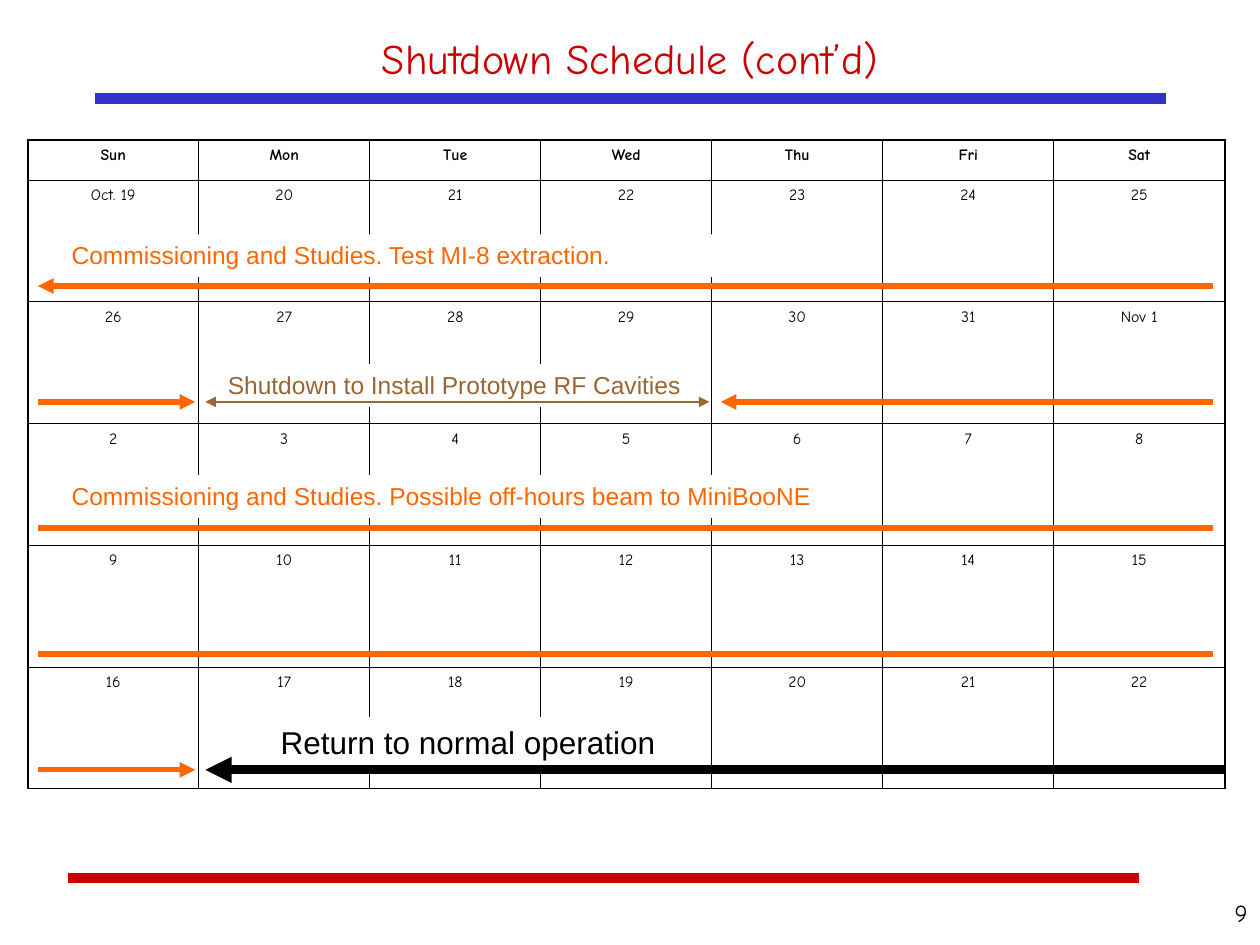
from itertools import product
from lxml import etree
from pptx import Presentation
from pptx.dml.color import RGBColor
from pptx.enum.shapes import MSO_CONNECTOR
from pptx.enum.text import MSO_ANCHOR, MSO_AUTO_SIZE, PP_ALIGN
from pptx.oxml.ns import qn
from pptx.util import Inches, Pt

BLACK, WHITE, RED, BLUE = "000000", "FFFFFF", "CC0000", "3333CC"
ORANGE, BROWN = "FF6600", "996633"
HEADING_FONT, LABEL_FONT = "Comic Neue", "Arial"

DAYS = ["Sun", "Mon", "Tue", "Wed", "Thu", "Fri", "Sat"]
DATES = ["Oct. 19", *map(str, range(20, 32)), "Nov 1", *map(str, range(2, 23))]
HEADER_HEIGHT = 0.32

# Offsets inside the calendar: text, left, top, width, height, size, colour, wrap
LABELS = [
    ("Shutdown to Install Prototype RF Cavities", 1.49, 1.78, 3.8, 0.34, 14, BROWN, False),
    ("Commissioning and Studies. Test MI-8 extraction.", 0.25, 0.75, 6.25, 0.34, 14, ORANGE, True),
    ("Commissioning and Studies. Possible off-hours beam to MiniBooNE",
     0.25, 2.66, 6.25, 0.34, 14, ORANGE, True),
    ("Return to normal operation", 1.91, 4.58, 3.33, 0.4, 18, BLACK, True),
]
# Offsets inside the calendar: start, end, height, colour, weight, arrowheads
SPANS = [
    (1.41, 5.41, 2.08, BROWN, 0.75, ("head", "tail")),
    (0.08, 9.41, 1.16, ORANGE, 3, ("head",)),
    (0.08, 9.41, 3.08, ORANGE, 3, ()),
    (0.08, 1.33, 2.08, ORANGE, 3, ("tail",)),
    (5.5, 9.41, 2.08, ORANGE, 3, ("head",)),
    (0.08, 9.41, 4.08, ORANGE, 3, ()),
    (0.08, 1.33, 5.0, ORANGE, 3, ("tail",)),
    (1.41, 9.5, 5.0, BLACK, 5, ("head",)),
]


def color(value):
    return RGBColor.from_string(value)


def format_text(text_frame, text, size, font_name, font_color,
                align=PP_ALIGN.LEFT, bold=False):
    text_frame.text = text
    paragraph = text_frame.paragraphs[0]
    paragraph.alignment = align
    font = paragraph.runs[0].font
    font.size, font.name, font.bold = Pt(size), font_name, bold
    font.color.rgb = color(font_color)


def add_line(slide, start, end, y, line_color, weight, arrowheads=()):
    line = slide.shapes.add_connector(
        MSO_CONNECTOR.STRAIGHT, Inches(start), Inches(y), Inches(end), Inches(y))
    line.line.color.rgb = color(line_color)
    line.line.width = Pt(weight)
    outline = line.line._get_or_add_ln()
    for side in arrowheads:
        etree.SubElement(outline, qn(f"a:{side}End"), type="triangle")
    etree.SubElement(line._element.spPr, qn("a:effectLst"))


def set_borders(cell, weights):
    properties = cell._tc.get_or_add_tcPr()
    for position, (side, weight) in enumerate(weights.items()):
        border = etree.Element(qn(f"a:ln{side}"), w=str(Pt(weight)))
        fill = etree.SubElement(border, qn("a:solidFill"))
        etree.SubElement(fill, qn("a:srgbClr"), val=BLACK)
        properties.insert(position, border)


def add_title(slide, left, top, width, height):
    title = slide.shapes.title
    title.left, title.top = Inches(left), Inches(top)
    title.width, title.height = Inches(width), Inches(height)
    title.text_frame.vertical_anchor = MSO_ANCHOR.MIDDLE
    format_text(title.text_frame, "Shutdown Schedule (cont’d)", 24,
                HEADING_FONT, RED, PP_ALIGN.CENTER)
    add_line(slide, left, left + width, 0.78, BLUE, 6)


def add_calendar(slide, left, top, width, height):
    entries = DAYS + DATES
    columns = len(DAYS)
    rows = len(entries) // columns
    frame = slide.shapes.add_table(
        rows, columns, Inches(left), Inches(top), Inches(width), Inches(height))
    table = frame.table
    table.first_row = table.horz_banding = False
    for column in table.columns:
        column.width = Inches(width / columns)
    for index, row in enumerate(table.rows):
        week_height = (height - HEADER_HEIGHT) / (rows - 1)
        row.height = Inches(week_height if index else HEADER_HEIGHT)

    # Thin grid inside, heavier outer frame
    for text, (row, column) in zip(entries, product(range(rows), range(columns))):
        cell = table.cell(row, column)
        cell.fill.background()
        format_text(cell.text_frame, text, 9, HEADING_FONT, BLACK,
                    PP_ALIGN.CENTER, bold=row == 0)
        outer = {"L": column == 0, "R": column == columns - 1,
                 "T": row == 0, "B": row == rows - 1}
        set_borders(cell, {side: 1.08 if edge else 0.45 for side, edge in outer.items()})


def add_label(slide, left, top, width, height, text, size, text_color, wrap):
    label = slide.shapes.add_textbox(
        Inches(left), Inches(top), Inches(width), Inches(height))
    label.fill.solid()
    label.fill.fore_color.rgb = color(WHITE)
    label.text_frame.word_wrap = wrap
    label.text_frame.auto_size = MSO_AUTO_SIZE.SHAPE_TO_FIT_TEXT
    format_text(label.text_frame, text, size, LABEL_FONT, text_color)


def add_activities(slide, left, top):
    for text, x, y, width, height, size, text_color, wrap in LABELS:
        add_label(slide, left + x, top + y, width, height, text, size, text_color, wrap)
    for start, end, y, line_color, weight, arrowheads in SPANS:
        add_line(slide, left + start, left + end, top + y, line_color, weight, arrowheads)


def add_footer(slide, left, top, width, height):
    add_line(slide, 0.54, 9.04, 6.97, RED, 6)
    number = slide.shapes.add_textbox(
        Inches(left), Inches(top), Inches(width), Inches(height))
    number.text_frame.word_wrap = True
    format_text(number.text_frame, "9", 14, HEADING_FONT, BLACK, PP_ALIGN.RIGHT)


def main():
    presentation = Presentation()
    presentation.slide_width, presentation.slide_height = Inches(10), Inches(7.5)
    slide = presentation.slides.add_slide(presentation.slide_layouts[5])
    add_title(slide, 0.75, 0.17, 8.5, 0.58)
    add_calendar(slide, 0.22, 1.11, 9.5, 5.15)
    add_activities(slide, 0.22, 1.11)
    add_footer(slide, 9.08, 7.08, 0.92, 0.42)
    presentation.save("out.pptx")


if __name__ == "__main__":
    main()
